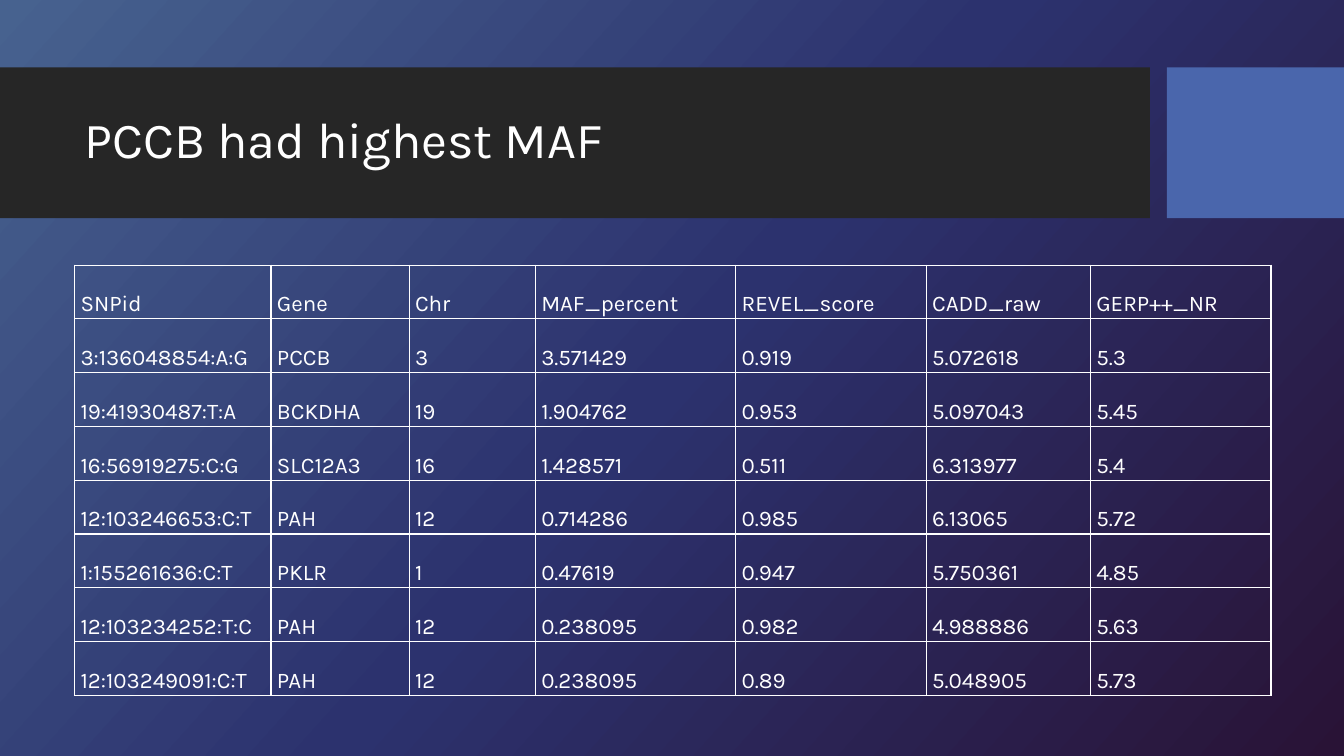
from copy import deepcopy

from pptx import Presentation
from pptx.dml.color import RGBColor
from pptx.enum.shapes import MSO_SHAPE
from pptx.enum.text import MSO_ANCHOR
from pptx.oxml import parse_xml
from pptx.oxml.ns import nsdecls, qn
from pptx.util import Cm, Pt

THEME = {
    "font": "Karla",
    "text": "FFFFFF",
    "band": "262626",
    "accent": "4A66AC",
    "background": [(0, "47628F"), (0.5, "2C326E"), (1, "291336")],
    "title_size": 36,
    "table_size": 16,
}

HEADINGS = ["SNPid", "Gene", "Chr", "MAF_percent", "REVEL_score", "CADD_raw", "GERP++_NR"]
VARIANTS = [
    ["3:136048854:A:G", "PCCB", "3", "3.571429", "0.919", "5.072618", "5.3"],
    ["19:41930487:T:A", "BCKDHA", "19", "1.904762", "0.953", "5.097043", "5.45"],
    ["16:56919275:C:G", "SLC12A3", "16", "1.428571", "0.511", "6.313977", "5.4"],
    ["12:103246653:C:T", "PAH", "12", "0.714286", "0.985", "6.13065", "5.72"],
    ["1:155261636:C:T", "PKLR", "1", "0.47619", "0.947", "5.750361", "4.85"],
    ["12:103234252:T:C", "PAH", "12", "0.238095", "0.982", "4.988886", "5.63"],
    ["12:103249091:C:T", "PAH", "12", "0.238095", "0.89", "5.048905", "5.73"],
]
COLUMN_WIDTHS = [4.95, 3.48, 3.18, 5.05, 4.8, 4.14, 4.55]
ROW_HEIGHT = 1.32


def format_text(text_frame, size, line_spacing):
    paragraph = text_frame.paragraphs[0]
    paragraph.line_spacing = line_spacing
    font = paragraph.runs[0].font
    font.name = THEME["font"]
    font.size = Pt(size)
    font.color.rgb = RGBColor.from_string(THEME["text"])


def add_borders(cell):
    properties = cell._tc.get_or_add_tcPr()
    for side in ("lnL", "lnR", "lnT", "lnB"):
        properties.append(parse_xml(
            f'<a:{side} {nsdecls("a")} w="{Pt(1)}"><a:solidFill>'
            f'<a:srgbClr val="{THEME["text"]}"/></a:solidFill></a:{side}>'
        ))


presentation = Presentation()
presentation.slide_width = Cm(33.87)
presentation.slide_height = Cm(19.05)
slide = presentation.slides.add_slide(presentation.slide_layouts[6])

background = slide.background.fill
background.gradient()
background.gradient_angle = 360 - 42
stop_list = next(slide.element.iter(qn("a:gsLst")))
stop_list.insert(1, deepcopy(stop_list[0]))
for stop, (position, color) in zip(background.gradient_stops, THEME["background"]):
    stop.position = position
    stop.color.rgb = RGBColor.from_string(color)

for left, width, color in [(0, 28.98, THEME["band"]), (29.41, 4.46, THEME["accent"])]:
    bar = slide.shapes.add_shape(MSO_SHAPE.RECTANGLE, Cm(left), Cm(1.7), Cm(width), Cm(3.8))
    bar.shadow.inherit = False
    bar.fill.solid()
    bar.fill.fore_color.rgb = RGBColor.from_string(color)
    bar.line.fill.background()

title = slide.shapes.add_textbox(Cm(1.88), Cm(2.08), Cm(26.7), Cm(3))
title.text_frame.word_wrap = True
title.text_frame.vertical_anchor = MSO_ANCHOR.MIDDLE
title.text_frame.text = "PCCB had highest MAF"
format_text(title.text_frame, THEME["title_size"], 0.9)

rows = [HEADINGS] + VARIANTS
table = slide.shapes.add_table(
    len(rows), len(HEADINGS), Cm(1.88), Cm(6.68),
    Cm(sum(COLUMN_WIDTHS)), Cm(ROW_HEIGHT * len(rows)),
).table
table.first_row = False
table.horz_banding = False
for column, width in zip(table.columns, COLUMN_WIDTHS):
    column.width = Cm(width)

for row, values in zip(table.rows, rows):
    row.height = Cm(ROW_HEIGHT)
    for cell, value in zip(row.cells, values):
        cell.text_frame.text = value
        format_text(cell.text_frame, THEME["table_size"], 2.0)
        cell.margin_left = cell.margin_right = Cm(0.15)
        cell.margin_top = cell.margin_bottom = 0
        add_borders(cell)
        cell.fill.background()

presentation.save("out.pptx")
